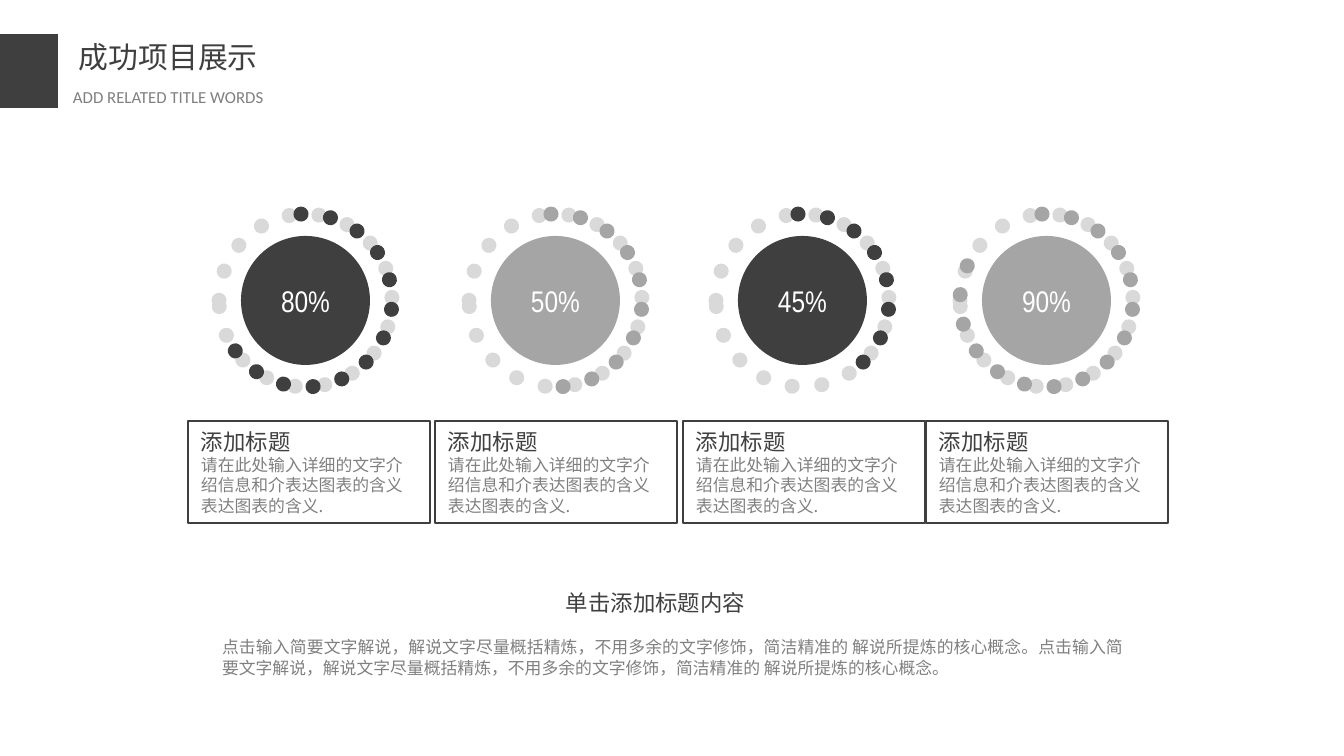
from lxml.etree import SubElement
from pptx import Presentation
from pptx.dml.color import RGBColor
from pptx.enum.dml import MSO_LINE
from pptx.enum.shapes import MSO_SHAPE
from pptx.enum.text import MSO_ANCHOR, MSO_AUTO_SIZE, PP_ALIGN
from pptx.oxml.ns import qn
from pptx.util import Emu, Pt

# Content
TITLE = "成功项目展示"
SUBTITLE = "ADD RELATED TITLE WORDS"
CARD_TITLE = "添加标题"
CARD_TEXT = "请在此处输入详细的文字介绍信息和介表达图表的含义表达图表的含义."
SUMMARY_TITLE = "单击添加标题内容"
SUMMARY_SENTENCE = "点击输入简要文字解说，解说文字尽量概括精炼，不用多余的文字修饰，简洁精准的 解说所提炼的核心概念。"
# label, color, arc end in degrees, ring left, card left
PROJECTS = [
    ("80%", "dark", 163.88, 219, 188),
    ("50%", "light", 96.48, 469, 435),
    ("45%", "dark", 52.21, 716, 683),
    ("90%", "light", 221.43, 960, 926),
]

# Style
COLORS = {"dark": "3F3F3F", "light": "A5A5A5", "track": "D9D9D9",
          "heading": "404040", "body": "808080", "white": "FFFFFF"}
CJK_FONT, NARROW_FONT, LATIN_FONT = "Noto Sans CJK SC", "Arial Narrow", "Calibri"
PX = 914400 / 134.4
ARC_START = 266.97
RING_TOP, RING_SIZE, DISC_SIZE = 214, 173, 129
CARD_TOP, CARD_WIDTH, CARD_HEIGHT = 421, 242, 102


def px(*values):
    return [Emu(round(value * PX)) for value in values]


def color(name):
    return RGBColor.from_string(COLORS[name])


def add_run(paragraph, text, size, font_name, color_name, alignment=PP_ALIGN.LEFT):
    paragraph.alignment = alignment
    run = paragraph.add_run()
    run.text = text
    run.font.size = Pt(size)
    run.font.name = font_name
    run.font.color.rgb = color(color_name)
    SubElement(run.font._element, qn("a:ea")).set("typeface", CJK_FONT)


def set_frame(frame, horizontal=0, vertical=0):
    frame.word_wrap = True
    frame.auto_size = MSO_AUTO_SIZE.NONE
    frame.vertical_anchor = MSO_ANCHOR.TOP
    frame.margin_left, frame.margin_right = px(horizontal, horizontal)
    frame.margin_top, frame.margin_bottom = px(vertical, vertical)


def add_text(box, margins, *run):
    frame = slide.shapes.add_textbox(*px(*box)).text_frame
    set_frame(frame, *margins)
    add_run(frame.paragraphs[0], *run)


def add_shape(kind, box, fill=None, line=None, line_width=0.75):
    shape = slide.shapes.add_shape(kind, *px(*box))
    shape.shadow.inherit = False
    if fill:
        shape.fill.solid()
        shape.fill.fore_color.rgb = color(fill)
    else:
        shape.fill.background()
    if line:
        shape.line.color.rgb = color(line)
        shape.line.width = Pt(line_width)
    else:
        shape.line.fill.background()
    return shape


def add_dotted(kind, box, line):
    shape = add_shape(kind, box, line=line, line_width=8)
    shape.line.dash_style = MSO_LINE.ROUND_DOT
    shape.line._get_or_add_ln().set("cap", "rnd")
    return shape


presentation = Presentation()
presentation.slide_width, presentation.slide_height = px(1344, 756)
slide = presentation.slides.add_slide(presentation.slide_layouts[5])

# Header
add_shape(MSO_SHAPE.RECTANGLE, (0, 34, 58, 74), fill="dark")
title = slide.shapes.title
title.left, title.top, title.width, title.height = px(69, 34, 270, 47)
set_frame(title.text_frame, 10, 5)
add_run(title.text_frame.paragraphs[0], TITLE, 16, CJK_FONT, "dark", PP_ALIGN.JUSTIFY)
add_text((63, 82, 300, 31), (10, 5), SUBTITLE, 9, LATIN_FONT, "body", PP_ALIGN.JUSTIFY)

# Summary
add_text((222, 637, 900, 41), (0, 0), SUMMARY_SENTENCE * 2, 9, NARROW_FONT, "body",
         PP_ALIGN.JUSTIFY)
add_text((566, 589, 276, 27), (0, 0), SUMMARY_TITLE, 12, CJK_FONT, "heading")

# Progress rings and cards
for label, tone, arc_end, ring_left, card_left in PROJECTS:
    ring = (ring_left, RING_TOP, RING_SIZE, RING_SIZE)
    inset = (RING_SIZE - DISC_SIZE) / 2
    add_dotted(MSO_SHAPE.OVAL, ring, "track")
    disc = add_shape(MSO_SHAPE.OVAL, (ring_left + inset, RING_TOP + inset, DISC_SIZE, DISC_SIZE),
                     fill=tone)
    disc.text_frame.vertical_anchor = MSO_ANCHOR.MIDDLE
    add_run(disc.text_frame.paragraphs[0], label, 16, NARROW_FONT, "white", PP_ALIGN.CENTER)
    arc = add_dotted(MSO_SHAPE.ARC, ring, tone)
    # Arc angles are stored in 60000ths of a degree, scaled by 100000
    arc.adjustments[0] = ARC_START * 0.6
    arc.adjustments[1] = arc_end * 0.6

    card = add_shape(MSO_SHAPE.RECTANGLE, (card_left, CARD_TOP, CARD_WIDTH, CARD_HEIGHT),
                     line="dark")
    frame = card.text_frame
    set_frame(frame, 13, 7)
    add_run(frame.paragraphs[0], CARD_TITLE, 12, CJK_FONT, "heading")
    add_run(frame.add_paragraph(), CARD_TEXT, 9, CJK_FONT, "body")

presentation.save("out.pptx")
